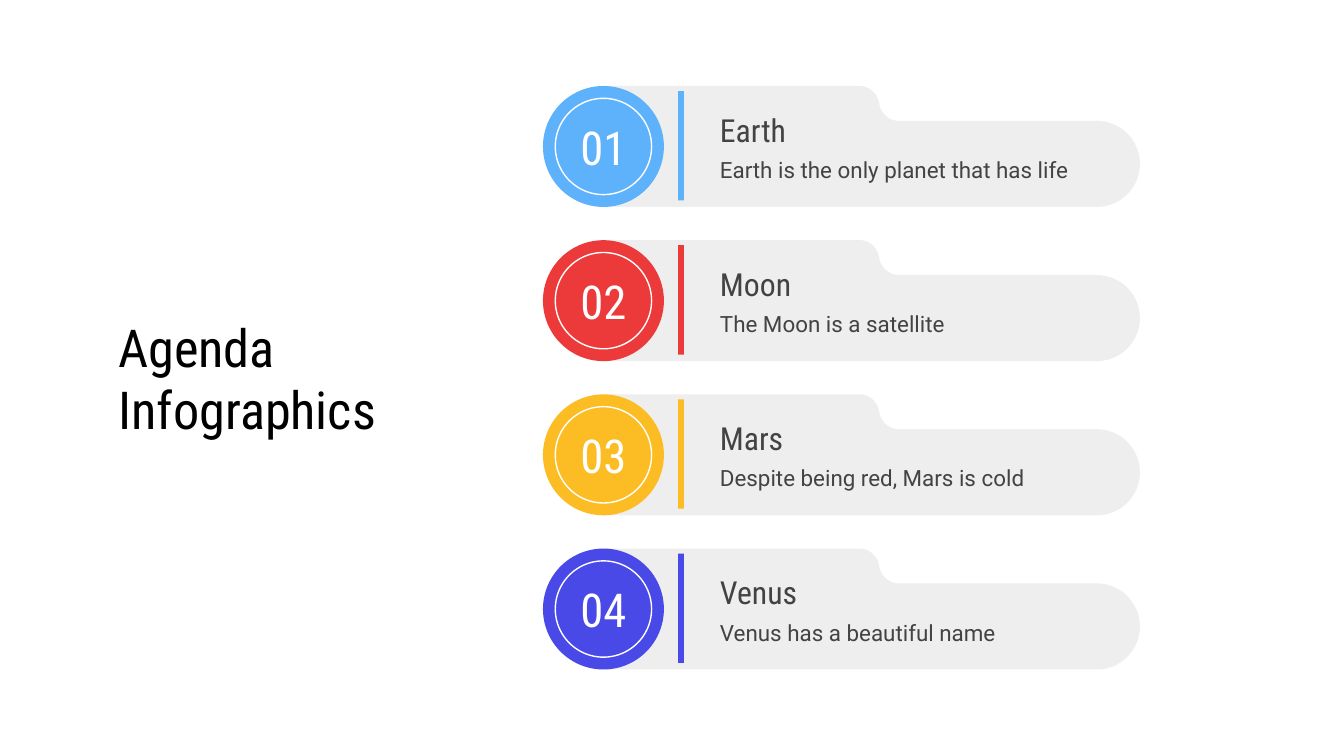
from pptx import Presentation
from pptx.dml.color import RGBColor
from pptx.enum.shapes import MSO_SHAPE
from pptx.enum.text import MSO_ANCHOR, MSO_AUTO_SIZE, PP_ALIGN
from pptx.util import Pt

OVAL, RECTANGLE = MSO_SHAPE.OVAL, MSO_SHAPE.RECTANGLE
MIDDLE = MSO_ANCHOR.MIDDLE
LEFT, CENTER = PP_ALIGN.LEFT, PP_ALIGN.CENTER
NO_AUTOFIT = MSO_AUTO_SIZE.NONE

HEADING_FONT, BODY_FONT = "Roboto Condensed", "Roboto"
COLORS = {
    "title": "000000",
    "text": "434343",
    "tab": "EEEEEE",
    "white": "FFFFFF",
    "earth": "5EB2FC",
    "moon": "EC3A3B",
    "mars": "FCBD24",
    "venus": "4949E7",
}
AGENDA = [
    ("Earth", "Earth is the only planet that has life", "earth"),
    ("Moon", "The Moon is a satellite", "moon"),
    ("Mars", "Despite being red, Mars is cold", "mars"),
    ("Venus", "Venus has a beautiful name", "venus"),
]

FIRST_TOP, ROW_PITCH, ROW_HEIGHT = 46.1, 82.6, 64.8
BADGE_LEFT, RING_SIZE = 290.9, 51.6
BADGE_CENTER = BADGE_LEFT + ROW_HEIGHT / 2
TEXT_LEFT = 378.6
TAB_RIGHT, STEP_HEIGHT = 610.7, 18.7


def rgb(name):
    return RGBColor.from_string(COLORS[name])


def write(shape, text, size, font, color, align=LEFT, inset=7.2, wrap=True):
    frame = shape.text_frame
    frame.auto_size = NO_AUTOFIT
    frame.word_wrap = wrap
    frame.vertical_anchor = MIDDLE
    frame.margin_left = frame.margin_right = Pt(inset)
    frame.margin_top = frame.margin_bottom = Pt(inset)
    frame.text = text
    paragraph = frame.paragraphs[0]
    paragraph.alignment = align
    paragraph.font.size = Pt(size)
    paragraph.font.name = font
    paragraph.font.color.rgb = rgb(color)


def paint(shape, color):
    shape.shadow.inherit = False
    shape.fill.solid()
    shape.fill.fore_color.rgb = rgb(color)
    shape.line.fill.background()


def add_solid(shapes, preset, left, top, width, height, color):
    solid = shapes.add_shape(preset, Pt(left), Pt(top), Pt(width), Pt(height))
    paint(solid, color)


def add_label(shapes, top, width, text, size, font):
    label = shapes.add_textbox(Pt(TEXT_LEFT), Pt(top), Pt(width), Pt(28.8))
    write(label, text, size, font, "text")


def curve(start, control_1, control_2, end, steps=16):
    """Points along a cubic Bezier curve, without its start."""
    points = []
    for step in range(1, steps + 1):
        t = step / steps
        weights = ((1 - t) ** 3, 3 * t * (1 - t) ** 2, 3 * t**2 * (1 - t), t**3)
        corners = (start, control_1, control_2, end)
        points.append(tuple(
            sum(weight * corner[axis] for weight, corner in zip(weights, corners))
            for axis in (0, 1)
        ))
    return points


def add_tab(shapes, top):
    """Folder-like panel: a raised left part, a step down and a round right end."""
    bottom, step = top + ROW_HEIGHT, top + STEP_HEIGHT
    radius = (bottom - step) / 2
    handle = 0.55 * radius
    end_x, middle_y = TAB_RIGHT - radius, step + radius
    step_x, step_y = 471, top + STEP_HEIGHT / 2
    outline = [(BADGE_CENTER, bottom), (end_x, bottom)]
    outline += curve((end_x, bottom), (end_x + handle, bottom),
                     (TAB_RIGHT, middle_y + handle), (TAB_RIGHT, middle_y))
    outline += curve((TAB_RIGHT, middle_y), (TAB_RIGHT, middle_y - handle),
                     (end_x + handle, step), (end_x, step))
    outline.append((step_x + 10.5, step))
    outline += curve((step_x + 10.5, step), (step_x + 5, step),
                     (step_x + 0.7, step_y + 5), (step_x, step_y))
    outline += curve((step_x, step_y), (step_x - 0.7, step_y - 5),
                     (step_x - 5, top), (step_x - 10.5, top))
    builder = shapes.build_freeform(Pt(BADGE_CENTER), Pt(top))
    builder.add_line_segments([(Pt(x), Pt(y)) for x, y in outline], close=True)
    paint(builder.convert_to_shape(), "tab")


def add_number_ring(shapes, top, number):
    inset = (ROW_HEIGHT - RING_SIZE) / 2
    ring = shapes.add_shape(OVAL, Pt(BADGE_LEFT + inset), Pt(top + inset),
                            Pt(RING_SIZE), Pt(RING_SIZE))
    ring.shadow.inherit = False
    ring.fill.background()
    ring.line.color.rgb = rgb("white")
    ring.line.width = Pt(0.75)
    write(ring, f"{number:02}", 25, HEADING_FONT, "white", CENTER, inset=0, wrap=False)


def add_agenda_item(slide, number, heading, description, color):
    top = FIRST_TOP + (number - 1) * ROW_PITCH
    shapes = slide.shapes.add_group_shape().shapes
    add_tab(shapes, top)
    add_solid(shapes, OVAL, BADGE_LEFT, top, ROW_HEIGHT, ROW_HEIGHT, color)
    add_solid(shapes, RECTANGLE, 363.3, top + 2.7, 3.1, 58.6, color)
    add_label(shapes, top + 30.4, 214.6, description, 12, BODY_FONT)
    add_label(shapes, top + 8.9, 93.6, heading, 17, HEADING_FONT)
    add_number_ring(shapes, top, number)


def add_title(slide):
    title = slide.shapes.title
    title.left, title.top = Pt(56.2), Pt(169.2)
    title.width, title.height = Pt(156.2), Pt(66.2)
    write(title, "Agenda Infographics", 28, HEADING_FONT, "title")


def main():
    presentation = Presentation()
    presentation.slide_width, presentation.slide_height = Pt(720), Pt(405)
    slide = presentation.slides.add_slide(presentation.slide_layouts[5])
    add_title(slide)
    for number, item in enumerate(AGENDA, start=1):
        add_agenda_item(slide, number, *item)
    presentation.save("out.pptx")


if __name__ == "__main__":
    main()
